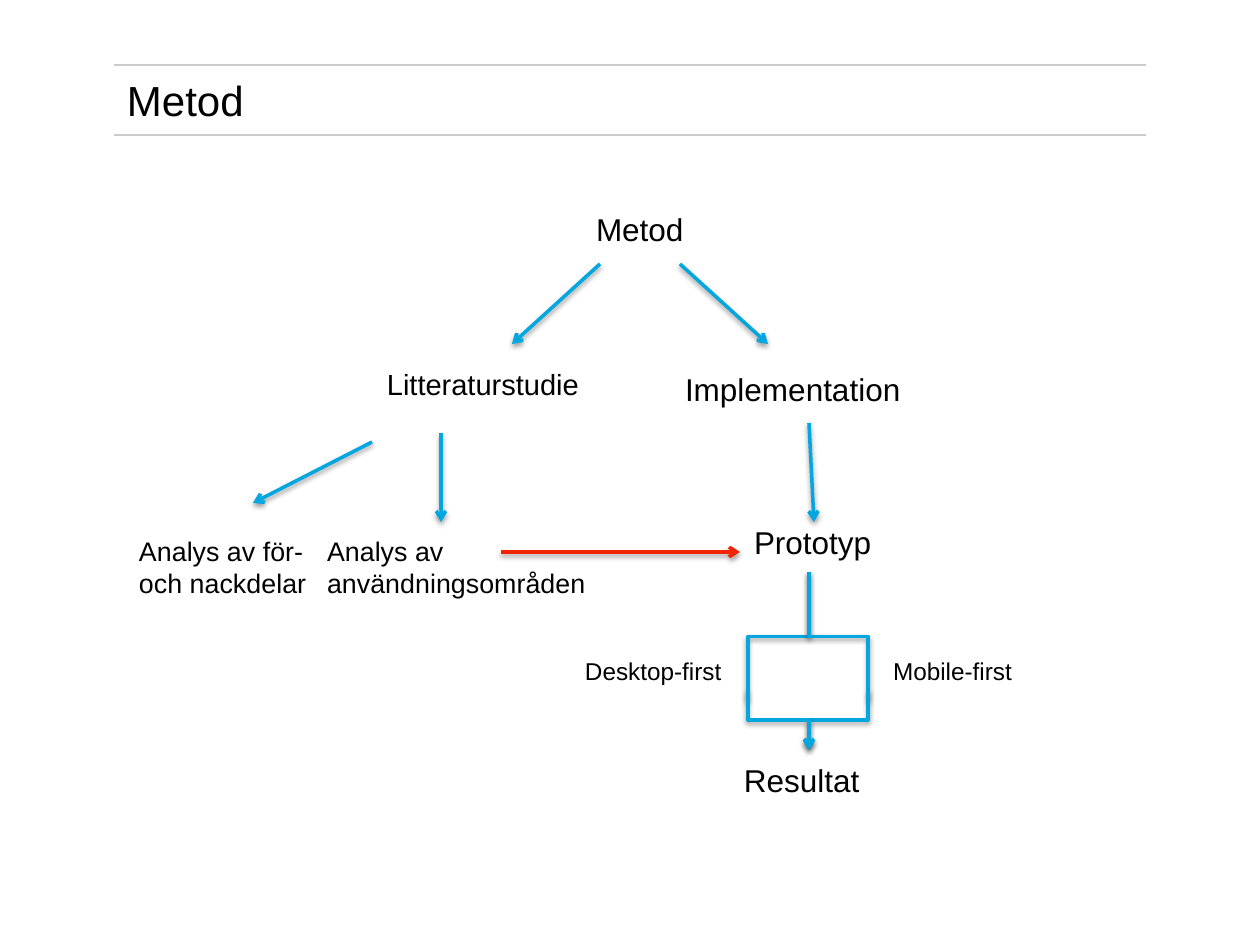
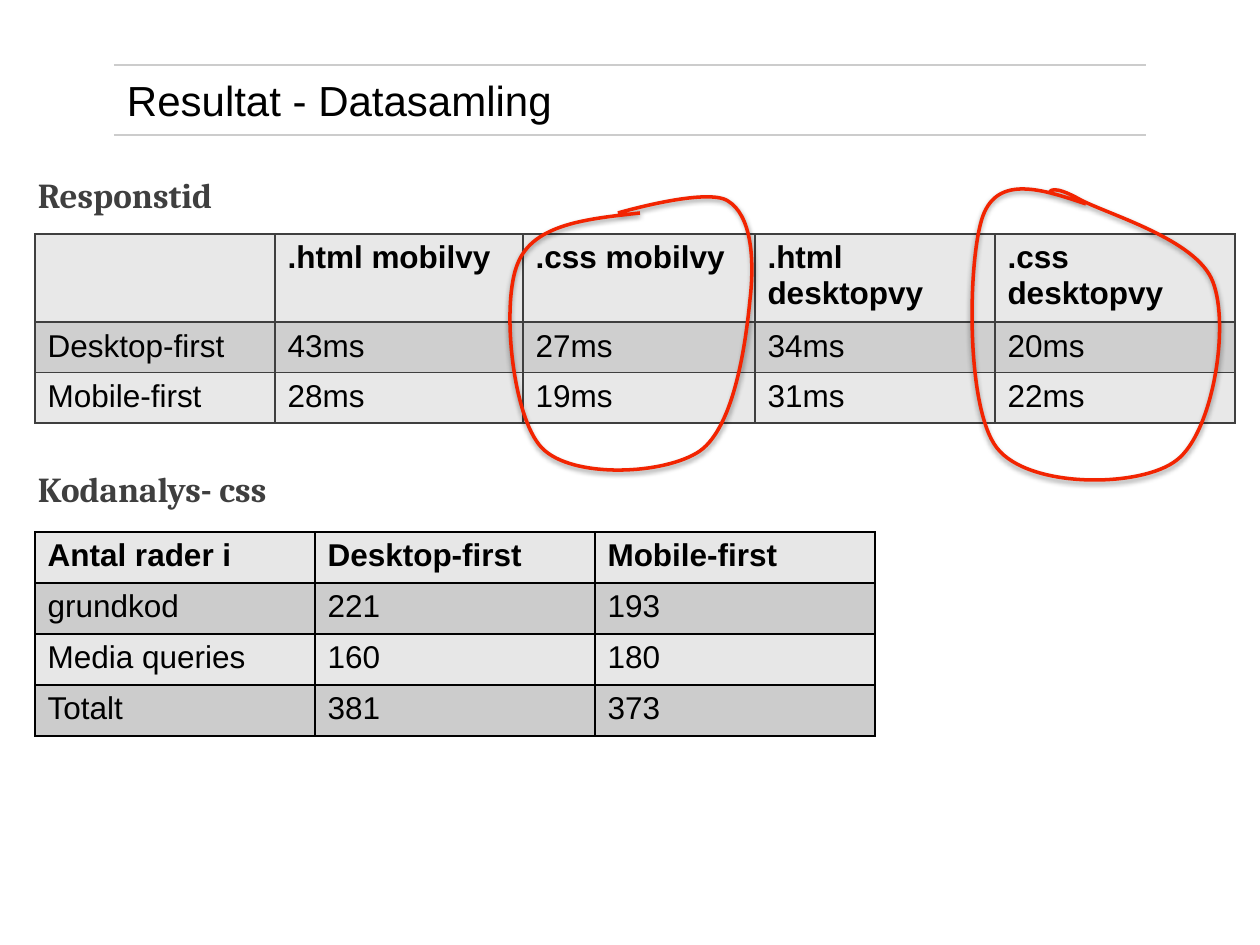
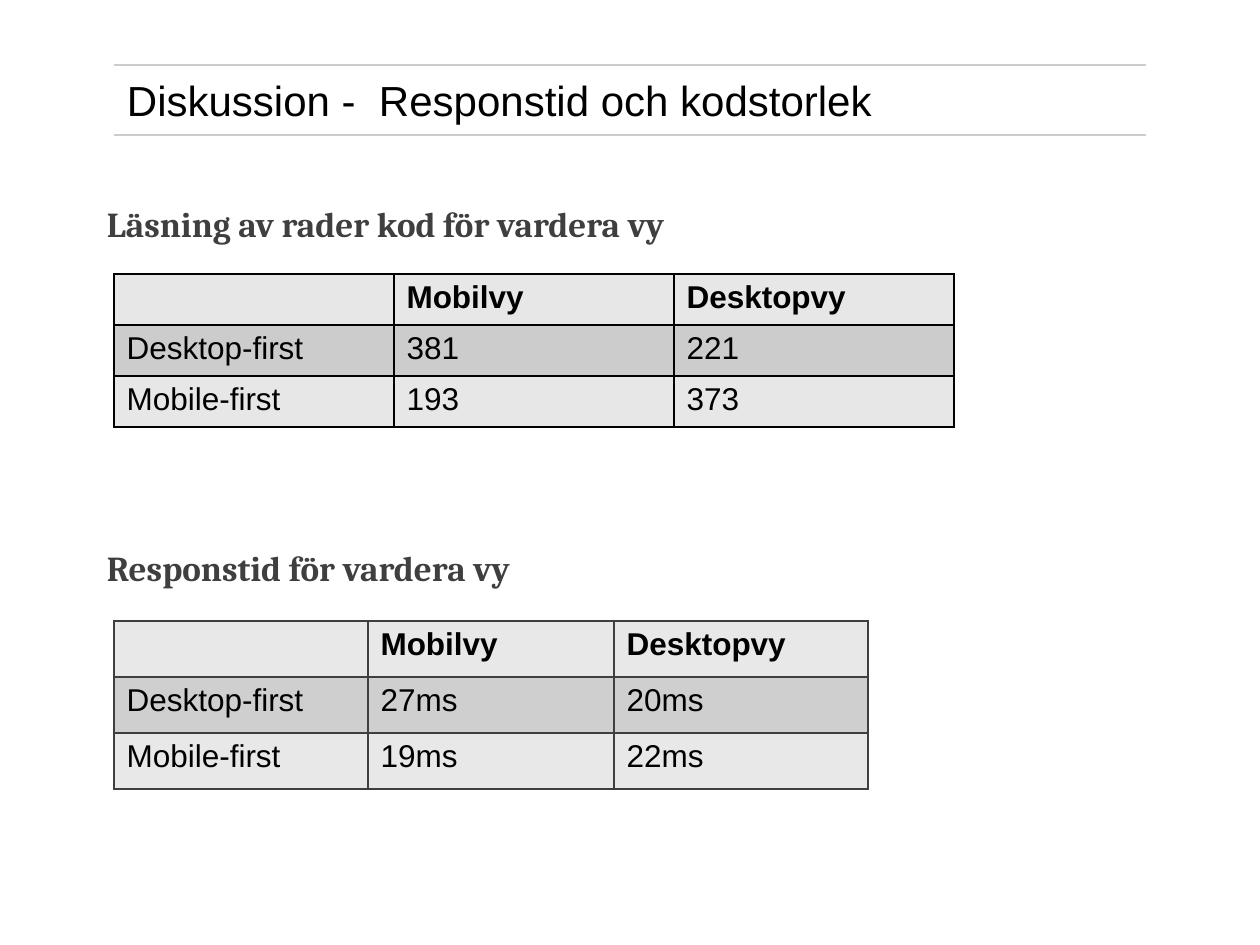
from typing import NamedTuple

from lxml import etree
from pptx import Presentation
from pptx import util as u
from pptx.dml.color import RGBColor
from pptx.enum import shapes, text
from pptx.oxml.ns import qn

PX = 914400 / 126
BLACK, GREY, RULE = "000000", "3F3F3F", "CCCCCC"
BLUE, RED = "04A6DF", "F22401"
SANS, SERIF = "Arial", "Cambria"
RULE_LEFT, RULE_RIGHT = 114, 1146
TITLE_TOP, TITLE_BOTTOM = 65, 135
SPLIT_X, SPLIT_LEFT, SPLIT_RIGHT = 809, 748, 868

Point = tuple[int, int]


class Label(NamedTuple):
    text: str
    left: int
    top: int
    width: int
    height: int
    size: float = 18


class Arrow(NamedTuple):
    start: Point
    end: Point
    color: str = BLUE


class Elbow(NamedTuple):
    start: Point
    end: Point
    arrow: bool


class GridLook(NamedTuple):
    border: str
    light: str
    dark: str


class Grid(NamedTuple):
    left: int
    top: int
    columns: list[int]
    rows: list[int]
    look: GridLook
    cells: list[list[str]]


class Heading(NamedTuple):
    text: str
    left: int
    top: int


TIME_LOOK = GridLook(GREY, "E8E8E8", "CFCFCF")
CODE_LOOK = GridLook(BLACK, "E7E7E7", "CCCCCC")

METHOD_LABELS = [
    Label("Metod", 571, 204, 208, 49),
    Label("Litteraturstudie", 362, 354, 238, 59, 16.6),
    Label("Implementation", 660, 354, 268, 69),
    Label("Analys av för- och nackdelar", 114, 532, 208, 69, 15.3),
    Label("Analys av användningsområden", 302, 522, 298, 89, 15.3),
    Label("Prototyp", 729, 512, 169, 59),
    Label("Mobile-first", 868, 641, 159, 59, 13.9),
    Label("Desktop-first", 560, 641, 179, 59, 13.9),
    Label("Resultat", 719, 750, 169, 59),
]
METHOD_ARROWS = [
    Arrow((600, 264), (512, 344)),
    Arrow((680, 264), (768, 344)),
    Arrow((372, 442), (253, 503)),
    Arrow((441, 433), (441, 522)),
    Arrow((809, 423), (814, 522)),
    Arrow((501, 552), (740, 552), RED),
]
METHOD_ELBOWS = [
    Elbow((SPLIT_X, 572), (SPLIT_LEFT, 701), False),
    Elbow((SPLIT_X, 572), (SPLIT_RIGHT, 701), False),
    Elbow((SPLIT_RIGHT, 690), (SPLIT_X, 750), True),
    Elbow((SPLIT_LEFT, 690), (SPLIT_X, 750), True),
]

RESPONSE_TIMES = Grid(35, 234, [240, 248, 232, 240, 240], [83, 48, 48], TIME_LOOK, [
    ["", ".html mobilvy", ".css mobilvy", ".html desktopvy", ".css desktopvy"],
    ["Desktop-first", "43ms", "27ms", "34ms", "20ms"],
    ["Mobile-first", "28ms", "19ms", "31ms", "22ms"],
])
CODE_ROWS = Grid(35, 532, [280] * 3, [51] * 4, CODE_LOOK, [
    ["Antal rader i", "Desktop-first", "Mobile-first"],
    ["grundkod", "221", "193"],
    ["Media queries", "160", "180"],
    ["Totalt", "381", "373"],
])
ROWS_PER_VIEW = Grid(114, 274, [280] * 3, [51] * 3, CODE_LOOK, [
    ["", "Mobilvy", "Desktopvy"],
    ["Desktop-first", "381", "221"],
    ["Mobile-first", "193", "373"],
])
TIME_PER_VIEW = Grid(114, 621, [254, 246, 254], [56] * 3, TIME_LOOK, [
    ["", "Mobilvy", "Desktopvy"],
    ["Desktop-first", "27ms", "20ms"],
    ["Mobile-first", "19ms", "22ms"],
])

# Each ring is a start point followed by three Bézier points per curve.
MOBILE_RING = [
    (640, 213), (587, 219), (534, 224), (518, 263),
    (501, 302), (512, 417), (542, 448), (572, 479), (665, 475), (700, 451),
    (735, 426), (746, 341), (750, 300), (755, 258), (751, 215), (728, 201),
    (707, 187), (618, 213), (618, 213),
]
DESKTOP_RING = [
    (1086, 204), (1042, 189), (998, 175), (983, 216),
    (968, 257), (965, 407), (997, 448), (1029, 489), (1142, 488), (1177, 460),
    (1213, 432), (1230, 326), (1213, 282), (1197, 239), (1106, 214), (1079, 199),
    (1052, 184), (1050, 192), (1050, 192),
]


def px(length: float) -> u.Emu:
    return u.Emu(round(length * PX))


def rgb(color: str) -> RGBColor:
    return RGBColor.from_string(color)


def set_font(font, name: str, size: float, color: str, bold: bool = False) -> None:
    font.name, font.size, font.bold = name, u.Pt(size), bold
    font.color.rgb = rgb(color)


def set_line(shape, color: str, width: float) -> None:
    shape.line.color.rgb = rgb(color)
    shape.line.width = u.Pt(width)


def set_shadow(shape, visible: bool) -> None:
    effects = etree.SubElement(shape.element.spPr, qn("a:effectLst"))
    if visible:
        shadow = etree.SubElement(
            effects, qn("a:outerShdw"), blurRad=str(u.Pt(3.1)), dist=str(u.Pt(1.6)),
            dir="5400000", rotWithShape="0")
        tint = etree.SubElement(shadow, qn("a:srgbClr"), val=BLACK)
        etree.SubElement(tint, qn("a:alpha"), val="38000")


def add_text(slide, label: Label, font: str = SANS, color: str = BLACK,
             bold: bool = False, inset: int = 13) -> None:
    box = slide.shapes.add_textbox(*map(px, label[1:5]))
    frame = box.text_frame
    frame.word_wrap = True
    frame.vertical_anchor = text.MSO_ANCHOR.MIDDLE
    frame.margin_left, frame.margin_right = px(inset), px(12)
    frame.margin_top = frame.margin_bottom = px(6)
    paragraph = frame.paragraphs[0]
    paragraph.text = label.text
    set_font(paragraph.font, font, label.size, color, bold)


def add_line(slide, start: Point, end: Point, color: str, width: float = 2,
             arrow: bool = True, shadow: bool = True,
             kind=shapes.MSO_CONNECTOR.STRAIGHT):
    line = slide.shapes.add_connector(kind, *map(px, (*start, *end)))
    set_line(line, color, width)
    if arrow:
        outline = line.element.spPr.find(qn("a:ln"))
        etree.SubElement(outline, qn("a:tailEnd"), type="arrow")
    set_shadow(line, shadow)
    return line


def add_elbow(slide, elbow: Elbow) -> None:
    """Draw an elbow that leaves and arrives vertically: a turned horizontal one."""
    (x1, y1), (x2, y2) = elbow.start, elbow.end
    middle_x, middle_y = (x1 + x2) / 2, (y1 + y2) / 2
    half_width, half_height = (y2 - y1) / 2, abs(x2 - x1) / 2
    side, degrees = (1, 270) if x2 > x1 else (-1, 90)
    line = add_line(
        slide,
        (middle_x + side * half_width, middle_y - half_height),
        (middle_x - side * half_width, middle_y + half_height),
        BLUE, arrow=elbow.arrow, kind=shapes.MSO_CONNECTOR.ELBOW)
    line.element.spPr.find(qn("a:xfrm")).set("rot", str(degrees * 60000))


def add_ring(slide, points: list[Point]) -> None:
    builder = slide.shapes.build_freeform(*points[0], scale=PX)
    builder.add_line_segments(points[1:], close=False)
    ring = builder.convert_to_shape()
    outline = ring.element.find(".//" + qn("a:path"))
    segments = outline.findall(qn("a:lnTo"))
    for first in range(0, len(segments), 3):
        curve = etree.SubElement(outline, qn("a:cubicBezTo"))
        for segment in segments[first:first + 3]:
            curve.append(segment[0])
            outline.remove(segment)
    ring.fill.background()
    set_line(ring, RED, 2)
    set_shadow(ring, True)


def set_borders(cell, color: str) -> None:
    properties = cell._tc.get_or_add_tcPr()
    for position, side in enumerate(("a:lnL", "a:lnR", "a:lnT", "a:lnB")):
        border = etree.Element(qn(side), w=str(u.Pt(1)))
        fill = etree.SubElement(border, qn("a:solidFill"))
        etree.SubElement(fill, qn("a:srgbClr"), val=color)
        properties.insert(position, border)


def add_grid(slide, grid: Grid) -> None:
    table = slide.shapes.add_table(
        len(grid.rows), len(grid.columns), px(grid.left), px(grid.top),
        px(sum(grid.columns)), px(sum(grid.rows))).table
    for column, width in zip(table.columns, grid.columns):
        column.width = px(width)
    for row, height in zip(table.rows, grid.rows):
        row.height = px(height)
    for r, values in enumerate(grid.cells):
        for c, value in enumerate(values):
            cell = table.cell(r, c)
            cell.text = value
            set_font(cell.text_frame.paragraphs[0].font, SANS, 18, BLACK, bold=r == 0)
            cell.fill.solid()
            cell.fill.fore_color.rgb = rgb(grid.look.dark if r % 2 else grid.look.light)
            set_borders(cell, grid.look.border)


def add_heading(slide, heading: Heading) -> None:
    label = Label(heading.text, heading.left, heading.top, 1032, 53, 20)
    add_text(slide, label, SERIF, GREY, bold=True)


def add_titled_slide(deck, title: str):
    slide = deck.slides.add_slide(deck.slide_layouts[6])
    for y in (TITLE_TOP, TITLE_BOTTOM):
        add_line(slide, (RULE_LEFT, y), (RULE_RIGHT, y), RULE, 0.75,
                 arrow=False, shadow=False)
    add_text(slide, Label(title, RULE_LEFT, TITLE_TOP, RULE_RIGHT - RULE_LEFT,
                          TITLE_BOTTOM - TITLE_TOP, 24))
    return slide


def add_method(deck) -> None:
    slide = add_titled_slide(deck, "Metod")
    for label in METHOD_LABELS:
        add_text(slide, label, inset=25)
    for elbow in METHOD_ELBOWS:
        add_elbow(slide, elbow)
    for arrow in METHOD_ARROWS:
        add_line(slide, *arrow)


def add_tables(deck, title: str, headings: list[Heading], grids: list[Grid]):
    slide = add_titled_slide(deck, title)
    for heading in headings:
        add_heading(slide, heading)
    for grid in grids:
        add_grid(slide, grid)
    return slide


def main() -> None:
    deck = Presentation()
    deck.slide_width, deck.slide_height = px(1260), px(945)
    add_method(deck)
    results = add_tables(
        deck, "Resultat - Datasamling",
        [Heading("Responstid", 25, 168), Heading("Kodanalys- css", 25, 462)],
        [RESPONSE_TIMES, CODE_ROWS])
    for ring in (MOBILE_RING, DESKTOP_RING):
        add_ring(results, ring)
    add_tables(
        deck, "Diskussion -  Responstid och kodstorlek",
        [Heading("Läsning av rader kod för vardera vy", 94, 197),
         Heading("Responstid för vardera vy", 94, 541)],
        [ROWS_PER_VIEW, TIME_PER_VIEW])
    deck.save("out.pptx")


if __name__ == "__main__":
    main()
